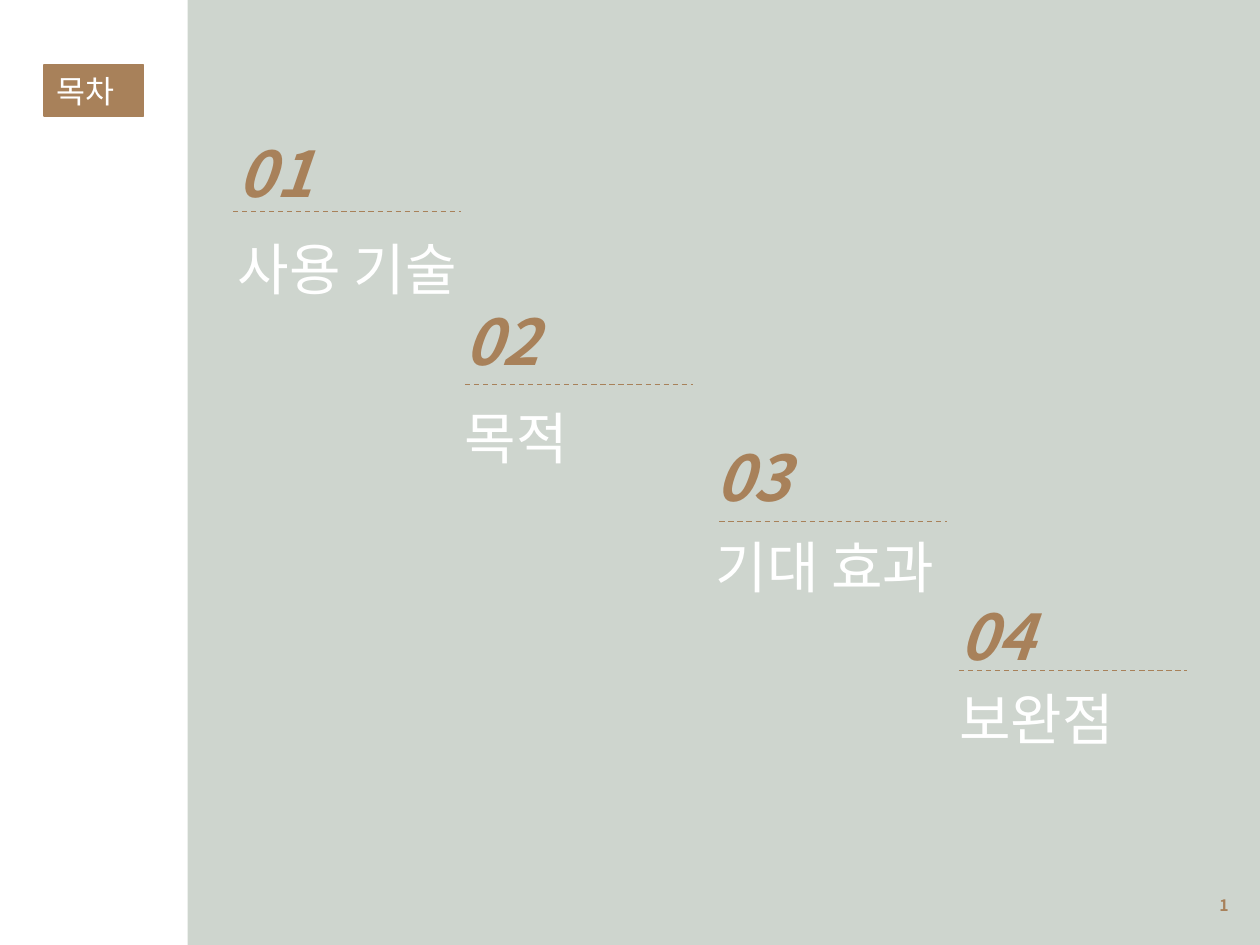
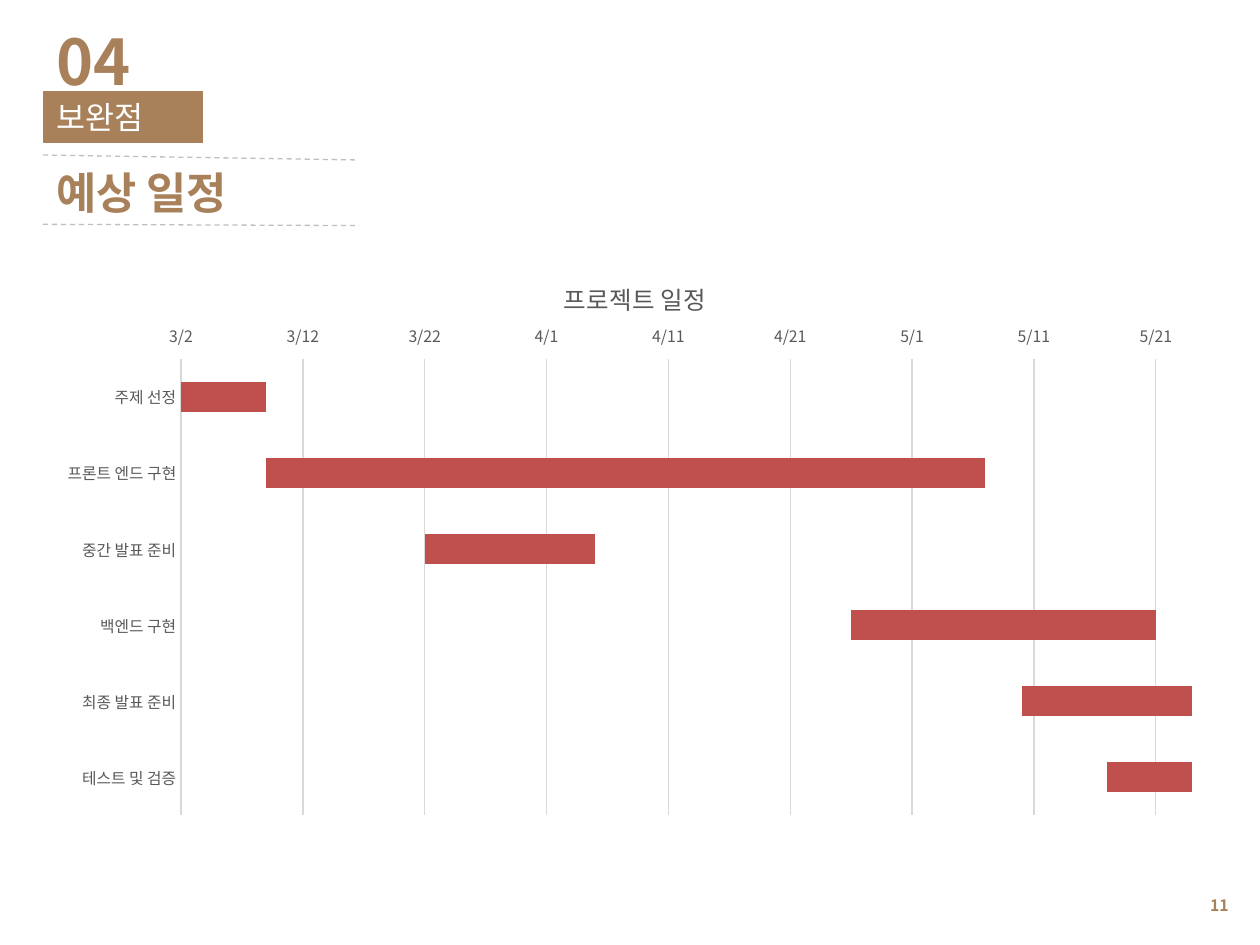
from dataclasses import dataclass

from lxml import etree
from pptx import Presentation
from pptx.chart import data as cd
from pptx.dml import color
from pptx.enum import chart as ch, dml, shapes, text
from pptx.oxml import ns
from pptx.util import Pt


@dataclass(frozen=True)
class Theme:
    """Colours, font and type sizes shared by the slides."""
    font: str = "Noto Sans CJK KR"
    brown: str = "A8815A"
    sage: str = "CED5CE"
    white: str = "FFFFFF"
    dash: str = "BFBFBF"
    grid: str = "D9D9D9"
    grey: str = "595959"
    bar: str = "C0504D"
    number: int = 36
    label: int = 32
    heading: int = 25
    tag: int = 18
    chart_title: int = 14
    small: int = 9
    line: float = 0.75


@dataclass(frozen=True)
class Box:
    """A rectangle in points."""
    x: float
    y: float
    w: float
    h: float

    def lengths(self) -> tuple:
        """Return the four lengths for a new shape."""
        return Pt(self.x), Pt(self.y), Pt(self.w), Pt(self.h)


@dataclass(frozen=True)
class Entry:
    """A numbered line of the contents, with its place on the slide."""
    label: str
    x: float
    rule_x: float
    number_y: float
    rule_y: float
    label_y: float


@dataclass(frozen=True)
class Task:
    """A bar of the schedule: start as a date serial, length in days."""
    name: str
    start: int
    days: int


T = Theme()
MARGIN = 25.2
RULE_W = 130.3
NUMBER_W, NUMBER_H = 90.7, 51.1
AXIS_START, AXIS_END, AXIS_STEP = 44257, 44340, 10

ENTRIES = (
    Entry("사용 기술", 128.9, 133.2, 73.4, 121, 130.3),
    Entry("목적", 258.5, 265.7, 169.2, 219.6, 226.8),
    Entry("기대 효과", 401.8, 411.1, 247, 298.1, 301),
    Entry("보완점", 541.1, 547.9, 337.7, 383, 387.4),
)
TASKS = (
    Task("주제 선정", 44257, 7),
    Task("프론트 엔드 구현", 44264, 59),
    Task("중간 발표 준비", 44277, 14),
    Task("백엔드 구현", 44312, 25),
    Task("최종 발표 준비", 44326, 18),
    Task("테스트 및 검증", 44333, 7),
)


def rgb(value: str) -> color.RGBColor:
    """Turn a hex string into a colour."""
    return color.RGBColor.from_string(value)


def style_font(font, size: float, colour: str, bold: bool = False, italic: bool = False) -> None:
    """Apply the theme font with a size and colour."""
    font.name, font.size, font.bold, font.italic = T.font, Pt(size), bold, italic
    font.color.rgb = rgb(colour)


def set_east_asian(root) -> None:
    """Give Korean text the same font as Latin text."""
    for latin in list(root.iter(ns.qn("a:latin"))):
        ea = etree.Element(ns.qn("a:ea"))
        ea.set("typeface", T.font)
        latin.addnext(ea)


def write(sp, words: str, size: float, colour: str, bold: bool = False, italic: bool = False,
          align=text.PP_ALIGN.LEFT, anchor=text.MSO_ANCHOR.TOP) -> None:
    """Fill a shape with one styled paragraph."""
    tf = sp.text_frame
    tf.text = words
    tf.word_wrap = True
    tf.vertical_anchor = anchor
    p = tf.paragraphs[0]
    p.alignment = align
    style_font(p.runs[0].font, size, colour, bold, italic)


def add_text(s, box: Box, words: str, size: float, colour: str, **style) -> None:
    """Add a text box."""
    write(s.shapes.add_textbox(*box.lengths()), words, size, colour, **style)


def add_block(s, box: Box, colour: str):
    """Add a plain filled rectangle."""
    sp = s.shapes.add_shape(shapes.MSO_SHAPE.RECTANGLE, *box.lengths())
    sp.shadow.inherit = False
    sp.fill.solid()
    sp.fill.fore_color.rgb = rgb(colour)
    sp.line.fill.background()
    return sp


def add_tag(s, y: float, w: float, words: str) -> None:
    """Add the brown section tag at the left margin."""
    sp = add_block(s, Box(MARGIN, y, w, 29.1), T.brown)
    sp.line.color.rgb = rgb(T.brown)
    sp.line.width = Pt(T.line)
    write(sp, words, T.tag, T.white, align=text.PP_ALIGN.JUSTIFY,
          anchor=text.MSO_ANCHOR.MIDDLE)


def add_rule(s, x1: float, y1: float, x2: float, y2: float, colour: str) -> None:
    """Add a dashed line."""
    c = s.shapes.add_connector(shapes.MSO_CONNECTOR.STRAIGHT, Pt(x1), Pt(y1), Pt(x2), Pt(y2))
    c.line.color.rgb = rgb(colour)
    c.line.width = Pt(T.line)
    c.line.dash_style = dml.MSO_LINE.DASH
    etree.SubElement(c.element.spPr, ns.qn("a:effectLst"))


def add_number(s, x: float, y: float, number: int, italic: bool = False) -> None:
    """Add a large two-digit section number."""
    add_text(s, Box(x, y, NUMBER_W, NUMBER_H), f"{number:02}", T.number, T.brown,
             bold=True, italic=italic)


def add_page_number(s, number: int) -> None:
    """Add the page number at the bottom right."""
    add_text(s, Box(541.4, 502.6, 167.8, 28.8), str(number), T.small, T.brown, bold=True,
             align=text.PP_ALIGN.RIGHT, anchor=text.MSO_ANCHOR.MIDDLE)


def set_layout(parent, index: int, **values) -> None:
    """Place a chart part by fractions of the chart area."""
    for old in parent.findall(ns.qn("c:layout")):
        parent.remove(old)
    layout = etree.Element(ns.qn("c:layout"))
    manual = etree.SubElement(layout, ns.qn("c:manualLayout"))
    for name, value in values.items():
        etree.SubElement(manual, ns.qn(f"c:{name}")).set("val", str(value))
    parent.insert(index, layout)


def add_schedule(s, box: Box) -> None:
    """Add the schedule as a stacked bar chart with clear outer series."""
    data = cd.CategoryChartData()
    data.categories = [t.name for t in TASKS]
    data.add_series("Series 1", [t.start for t in TASKS])
    data.add_series("Series 2", [t.days for t in TASKS])
    data.add_series("Series 3", [t.start + t.days for t in TASKS])
    chart = s.shapes.add_chart(ch.XL_CHART_TYPE.BAR_STACKED, *box.lengths(), data).chart
    chart.has_legend = False
    style_font(chart.font, 10, T.grey)

    chart.has_title = True
    title = chart.chart_title
    title.include_in_layout = False
    title.text_frame.text = "프로젝트 일정"
    style_font(title.text_frame.paragraphs[0].runs[0].font, T.chart_title, T.grey)
    set_layout(title.element, 1, xMode="edge", yMode="edge", x=0.44, y=0.05)
    set_layout(chart.element.find(".//" + ns.qn("c:plotArea")), 0, layoutTarget="inner",
               xMode="edge", yMode="edge", x=0.117, y=0.196, w=0.864, h=0.782)

    plot = chart.plots[0]
    plot.gap_width, plot.overlap, plot.vary_by_categories = 150, 100, False
    for series in plot.series:
        series.format.fill.background()
    fill = plot.series[1].format.fill
    fill.solid()
    fill.fore_color.rgb = rgb(T.bar)

    cat, val = chart.category_axis, chart.value_axis
    for axis in (cat, val):
        axis.major_tick_mark = axis.minor_tick_mark = ch.XL_TICK_MARK.NONE
        style_font(axis.tick_labels.font, T.small, T.grey)
    cat.reverse_order = True
    val.minimum_scale, val.maximum_scale = AXIS_START, AXIS_END
    val.major_unit = AXIS_STEP
    val.tick_label_position = ch.XL_TICK_LABEL_POSITION.LOW
    val.tick_labels.number_format = 'm"/"d;@'
    val.tick_labels.number_format_is_linked = False
    val.format.line.fill.background()
    for line in (cat.format.line, val.major_gridlines.format.line):
        line.color.rgb = rgb(T.grid)
        line.width = Pt(T.line)
    set_east_asian(chart.element)


def build_contents(s) -> None:
    """Build the contents slide."""
    add_block(s, Box(107.3, 0, 614.9, 540), T.sage)
    add_page_number(s, 1)
    add_tag(s, 37.2, 56.9, "목차")
    for number, e in enumerate(ENTRIES, 1):
        add_rule(s, e.rule_x, e.rule_y, e.rule_x + RULE_W, e.rule_y, T.brown)
        add_number(s, e.x, e.number_y, number, italic=True)
        add_text(s, Box(e.x, e.label_y, 187.2, 46.1), e.label, T.label, T.white)


def build_schedule(s) -> None:
    """Build the schedule slide."""
    add_page_number(s, 11)
    add_text(s, Box(MARGIN, 91.4, 357.1, 37.4), "예상 일정", T.heading, T.brown, bold=True)
    add_tag(s, 52.4, NUMBER_W, ENTRIES[3].label)
    add_number(s, MARGIN, 9.4, 4)
    add_rule(s, 24.5, 128.2, 205.2, 128.9, T.dash)
    add_rule(s, 24.5, 88.6, 203.8, 91.4, T.dash)
    add_schedule(s, Box(MARGIN, 139.7, 668.9, 333.4))


def main() -> None:
    """Build and save the slides."""
    prs = Presentation()
    prs.slide_width, prs.slide_height = Pt(720), Pt(540)
    for build in (build_contents, build_schedule):
        s = prs.slides.add_slide(prs.slide_layouts[6])
        build(s)
        set_east_asian(s.element)
    prs.save("out.pptx")


if __name__ == "__main__":
    main()
